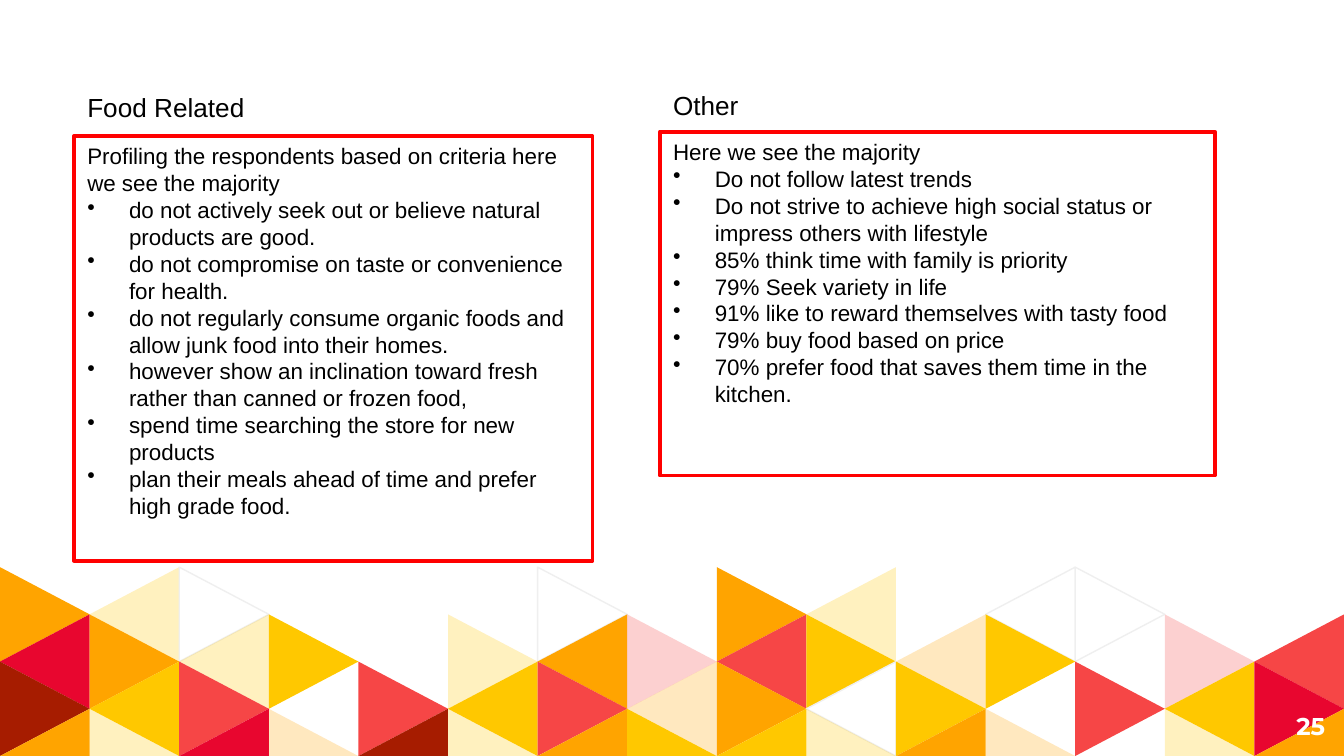
from dataclasses import dataclass

from lxml import etree
from pptx import Presentation
from pptx.dml.color import RGBColor
from pptx.enum.shapes import MSO_SHAPE
from pptx.enum.text import MSO_ANCHOR, PP_ALIGN
from pptx.oxml.ns import qn
from pptx.util import Cm, Pt

RECTANGLE = MSO_SHAPE.RECTANGLE
TOP, MIDDLE = MSO_ANCHOR.TOP, MSO_ANCHOR.MIDDLE
RIGHT = PP_ALIGN.RIGHT

SLIDE_W, SLIDE_H = 25.4, 14.29
MOSAIC_TOP = 10.72

# One letter per triangle, "." for a gap; lower case is the pale tint
MOSAIC = [
    "OyW...W.Oy.WW..",
    "ROyY.yOcCYoY.cC",
    "DYC.CYCoOWY.CYR",
    "OyRoDyOYYyOo.yO",
]

FOOD_INTRO = "Profiling the respondents based on criteria here we see the majority"
FOOD_POINTS = [
    "do not actively seek out or believe natural products are good.",
    "do not compromise on taste or convenience for health.",
    "do not regularly consume organic foods and allow junk food into their homes.",
    "however show an inclination toward fresh rather than canned or frozen food,",
    "spend time searching the store for new products",
    "plan their meals ahead of time and prefer high grade food.",
]
OTHER_INTRO = "Here we see the majority"
OTHER_POINTS = [
    "Do not follow latest trends",
    "Do not strive to achieve high social status or impress others with lifestyle",
    "85% think time with family is priority",
    "79% Seek variety in life",
    "91% like to reward themselves with tasty food",
    "79% buy food based on price",
    "70% prefer food that saves them time in the kitchen.",
]


@dataclass(frozen=True)
class Theme:
    text: str = "000000"
    white: str = "FFFFFF"
    frame: str = "FF0000"
    outline: str = "EFEFEF"
    orange: str = "FFA400"
    yellow: str = "FFC800"
    red: str = "E8062F"
    coral: str = "F64646"
    dark: str = "A61C00"
    tint: int = 25
    font: str = "Arial"
    number_font: str = "Montserrat"
    heading_size: float = 14
    number_size: float = 13
    body_size: float = 12
    body_spacing: float = 14.4

    def tile(self, letter):
        return {"O": self.orange, "Y": self.yellow, "R": self.red,
                "C": self.coral, "D": self.dark, "W": self.white}[letter.upper()]


class SlideBuilder:
    def __init__(self, slide, theme):
        self.s, self.theme = slide, theme

    def paint(self, sp, fill, line=None, width=0.75):
        sp.shadow.inherit = False
        sp.fill.solid()
        sp.fill.fore_color.rgb = RGBColor.from_string(fill)
        if line:
            sp.line.color.rgb = RGBColor.from_string(line)
            sp.line.width = Pt(width)
        else:
            sp.line.fill.background()

    def format(self, p, size, font=None, color=None, bold=False):
        for r in p.runs:
            r.font.size, r.font.bold = Pt(size), bold
            r.font.name = font or self.theme.font
            r.font.color.rgb = RGBColor.from_string(color or self.theme.text)

    def bullet(self, p):
        pPr = p._p.get_or_add_pPr()
        pPr.set("marL", str(Cm(0.79)))
        pPr.set("indent", str(-Cm(0.79)))
        etree.SubElement(pPr, qn("a:buChar")).set("char", "•")

    def triangle(self, points, letter):
        pts = [(Cm(x), Cm(y)) for x, y in points]
        builder = self.s.shapes.build_freeform(*pts[0])
        builder.add_line_segments(pts[1:], close=True)
        sp = builder.convert_to_shape()
        self.paint(sp, self.theme.tile(letter),
                   self.theme.outline if letter == "W" else None)
        if letter.islower():
            clr = sp.fill._xPr.find(".//" + qn("a:srgbClr"))
            etree.SubElement(clr, qn("a:alpha")).set("val", str(self.theme.tint * 1000))

    def mosaic(self, rows, top):
        dx, dy = SLIDE_W / len(rows[0]), (SLIDE_H - top) / len(rows)
        for row, letters in enumerate(rows):
            for col, letter in enumerate(letters):
                if letter == ".":
                    continue
                # Triangles point right and left in turn
                base, tip = (col, col + 1) if (row + col) % 2 == 0 else (col + 1, col)
                end = min(row + 2, len(rows))
                grid = [(base, row), (base, end), (tip, row + 1)]
                self.triangle([(x * dx, top + y * dy) for x, y in grid], letter)

    def text(self, text, x, y, w, h):
        sp = self.s.shapes.add_textbox(Cm(x), Cm(y), Cm(w), Cm(h))
        tf = sp.text_frame
        tf.word_wrap = True
        tf.text = text
        return tf

    def heading(self, text, x, y, w):
        tf = self.text(text, x, y, w, 0.86)
        self.format(tf.paragraphs[0], self.theme.heading_size)

    def panel(self, intro, points, x, y, w, h):
        sp = self.s.shapes.add_shape(RECTANGLE, Cm(x), Cm(y), Cm(w), Cm(h))
        self.paint(sp, self.theme.white, self.theme.frame, 2)
        tf = sp.text_frame
        tf.word_wrap, tf.vertical_anchor = True, TOP
        tf.text = "\n".join([intro, *points])
        for i, p in enumerate(tf.paragraphs):
            p.alignment = PP_ALIGN.LEFT
            p.line_spacing = Pt(self.theme.body_spacing)
            if i:
                self.bullet(p)
            self.format(p, self.theme.body_size)

    def page_number(self, text, x, y, w, h):
        tf = self.text(text, x, y, w, h)
        tf.vertical_anchor = MIDDLE
        tf.margin_left = tf.margin_right = tf.margin_top = tf.margin_bottom = Cm(0.25)
        p = tf.paragraphs[0]
        p.alignment = RIGHT
        self.format(p, self.theme.number_size, self.theme.number_font,
                    self.theme.white, True)


def main():
    prs = Presentation()
    prs.slide_width, prs.slide_height = Cm(SLIDE_W), Cm(SLIDE_H)
    s = SlideBuilder(prs.slides.add_slide(prs.slide_layouts[6]), Theme())

    # Triangle band and page number
    s.mosaic(MOSAIC, MOSAIC_TOP)
    s.page_number("25", 23.77, 13.18, 1.52, 1.09)

    # Food column
    s.panel(FOOD_INTRO, FOOD_POINTS, 1.4, 2.57, 9.8, 8.03)
    s.heading("Food Related", 1.4, 1.6, 8.48)

    # Other column
    s.panel(OTHER_INTRO, OTHER_POINTS, 12.47, 2.49, 10.49, 6.5)
    s.heading("Other", 12.47, 1.57, 5.97)

    prs.save("out.pptx")


if __name__ == "__main__":
    main()
